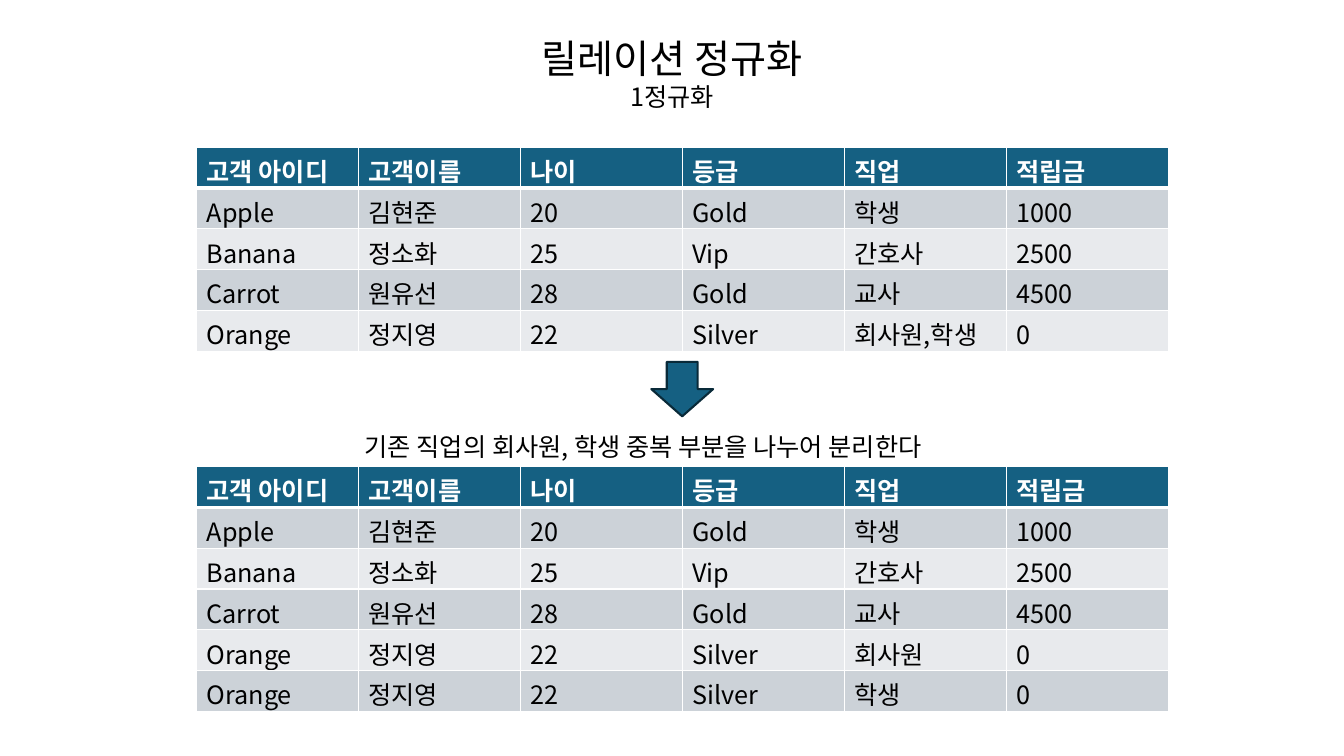
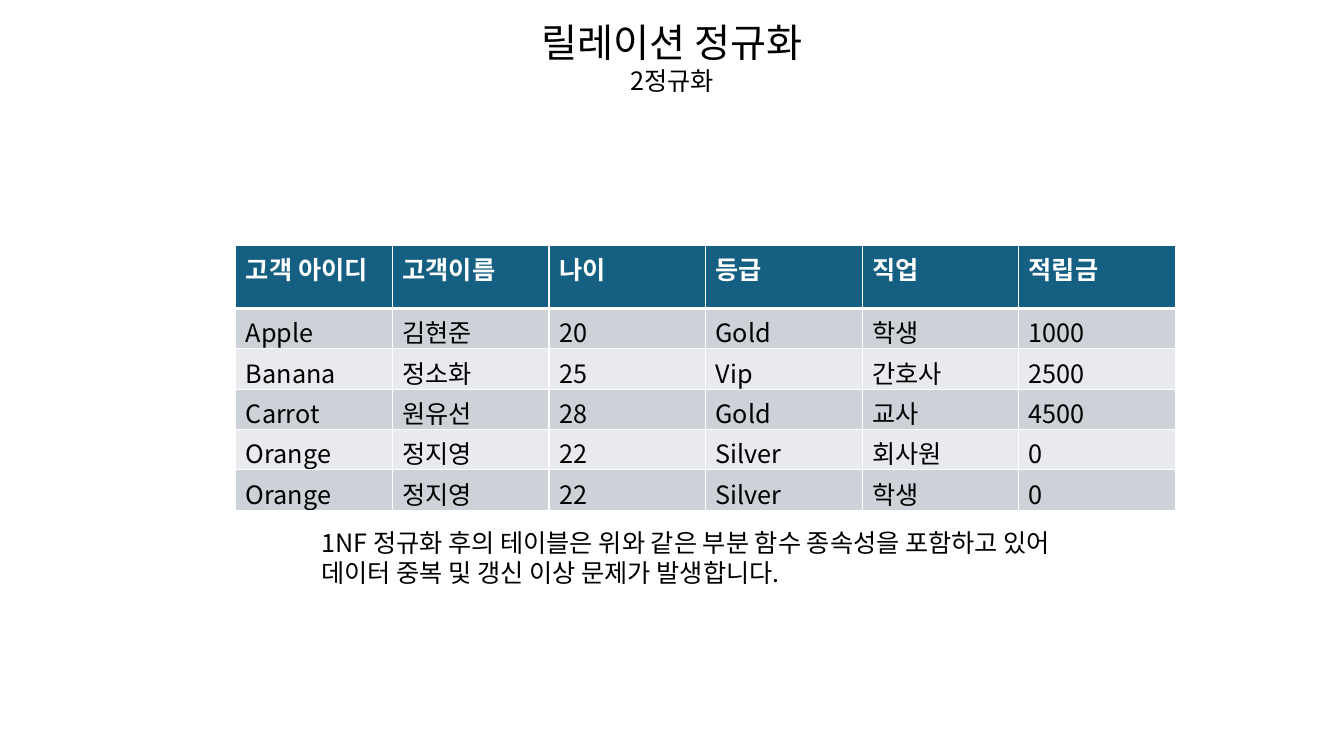
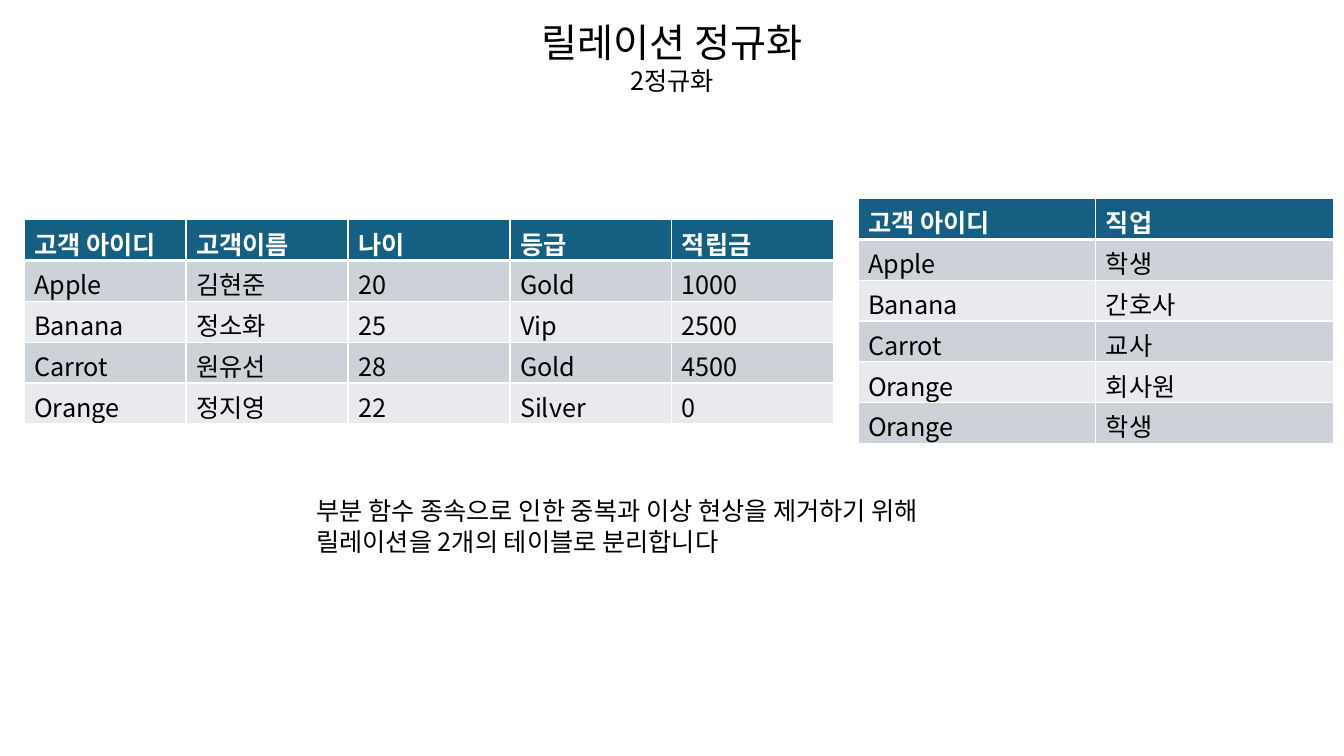
from lxml import etree
from pptx import Presentation
from pptx import util as u
from pptx.dml.color import RGBColor
from pptx.enum import shapes, text
from pptx.oxml.ns import qn

TITLE = "릴레이션 정규화"
JOB = 4
HEADER = ["고객 아이디", "고객이름", "나이", "등급", "직업", "적립금"]
CUSTOMERS = [
    ["Apple", "김현준", "20", "Gold", "학생", "1000"],
    ["Banana", "정소화", "25", "Vip", "간호사", "2500"],
    ["Carrot", "원유선", "28", "Gold", "교사", "4500"],
    ["Orange", "정지영", "22", "Silver", "회사원,학생", "0"],
]


def color(hex_code):
    return RGBColor.from_string(hex_code)


def split_jobs(customers):
    return [row[:JOB] + [job] + row[JOB + 1:]
            for row in customers for job in row[JOB].split(",")]


class Deck:
    """Style and current slide; positions are percentages of the slide's size."""

    FONT = "Noto Sans CJK KR"
    BLACK, WHITE, TEAL, NAVY = "000000", "FFFFFF", "156082", "092A39"
    BANDS = ["CCD2D8", "E8EAED"]
    ROW = 5.4

    def __init__(self):
        self.prs = Presentation()
        self.prs.slide_width = u.Inches(13.33)
        self.prs.slide_height = u.Inches(7.5)

    def box(self, left, top, width, height):
        across, down = self.prs.slide_width / 100, self.prs.slide_height / 100
        return [round(left * across), round(top * down),
                round(width * across), round(height * down)]

    def style(self, paragraph, size=18, ink=BLACK, bold=False):
        for run in paragraph.runs:
            run.font.size = u.Pt(size)
            run.font.name = self.FONT
            run.font.bold = bold
            run.font.color.rgb = color(ink)
            east_asian = etree.Element(qn("a:ea"), typeface=self.FONT)
            run.font._element.find(qn("a:latin")).addnext(east_asian)

    def add_slide(self, subtitle, top):
        self.slide = self.prs.slides.add_slide(self.prs.slide_layouts[6])
        heading = self.note([TITLE, subtitle], 38, top, 24, 11.73, sizes=(28, 18))
        for paragraph in heading.paragraphs:
            paragraph.alignment = text.PP_ALIGN.CENTER

    def note(self, lines, left, top, width, height, sizes=(18,)):
        frame = self.slide.shapes.add_textbox(*self.box(left, top, width, height)).text_frame
        frame.word_wrap = True
        frame.auto_size = text.MSO_AUTO_SIZE.SHAPE_TO_FIT_TEXT
        frame.text = "\n".join(lines)
        for paragraph, size in zip(frame.paragraphs, sizes):
            self.style(paragraph, size)
        return frame

    def borders(self, cell, top, bottom):
        properties = cell._tc.get_or_add_tcPr()
        sides = [("L", 1), ("R", 1), ("T", top), ("B", bottom)]
        for position, (side, points) in enumerate(sides):
            line = etree.Element(qn(f"a:ln{side}"), w=str(u.Pt(points)))
            fill = etree.SubElement(line, qn("a:solidFill"))
            etree.SubElement(fill, qn("a:srgbClr"), val=self.WHITE)
            properties.insert(position, line)

    def relation(self, header, records, left, top, width, row=ROW, header_row=ROW):
        rows = [header] + records
        height = header_row + row * len(records)
        area = self.box(left, top, width, height)
        table = self.slide.shapes.add_table(len(rows), len(header), *area).table
        for r, values in enumerate(rows):
            share = row if r else header_row
            table.rows[r].height = self.box(0, 0, 0, share)[3]
            for c, value in enumerate(values):
                cell = table.cell(r, c)
                cell.fill.solid()
                cell.fill.fore_color.rgb = color(self.BANDS[(r - 1) % 2] if r else self.TEAL)
                cell.text_frame.text = value
                self.style(cell.text_frame.paragraphs[0],
                           ink=self.BLACK if r else self.WHITE, bold=r == 0)
                self.borders(cell, 3 if r == 1 else 1, 1 if r else 3)

    def down_arrow(self, left, top, width, height):
        arrow = self.slide.shapes.add_shape(
            shapes.MSO_SHAPE.DOWN_ARROW, *self.box(left, top, width, height))
        arrow.shadow.inherit = False
        arrow.fill.solid()
        arrow.fill.fore_color.rgb = color(self.TEAL)
        arrow.line.color.rgb = color(self.NAVY)
        arrow.line.width = u.Pt(1.5)


def main():
    deck = Deck()
    separated = split_jobs(CUSTOMERS)

    deck.add_slide("1정규화", top=3.87)
    deck.relation(HEADER, separated, 14.63, 61.73, 72.3)
    deck.note(["기존 직업의 회사원, 학생 중복 부분을 나누어 분리한다"], 26.4, 56.4, 48.7, 5.33)
    deck.relation(HEADER, CUSTOMERS, 14.63, 19.47, 72.3)
    deck.down_arrow(48.46, 47.87, 4.6, 7.2)

    deck.add_slide("2정규화", top=1.73)
    deck.relation(HEADER, separated, 17.55, 32.4, 69.9, row=5.33, header_row=8.4)
    deck.note(["1NF 정규화 후의 테이블은 위와 같은 부분 함수 종속성을 포함하고 있어 "
               "데이터 중복 및 갱신 이상 문제가 발생합니다."], 23.18, 69.07, 58.74, 9.47)

    deck.add_slide("2정규화", top=1.73)
    without_job = [row[:JOB] + row[JOB + 1:] for row in [HEADER] + CUSTOMERS]
    only_job = [[row[0], row[JOB]] for row in [HEADER] + separated]
    deck.relation(without_job[0], without_job[1:], 1.8, 29.07, 60.25)
    deck.relation(only_job[0], only_job[1:], 63.84, 26.27, 35.4)
    deck.note(["부분 함수 종속으로 인한 중복과 이상 현상을 제거하기 위해 "
               "릴레이션을 2개의 테이블로 분리합니다"], 22.8, 64.93, 54.4, 9.47)

    deck.prs.save("out.pptx")


if __name__ == "__main__":
    main()
